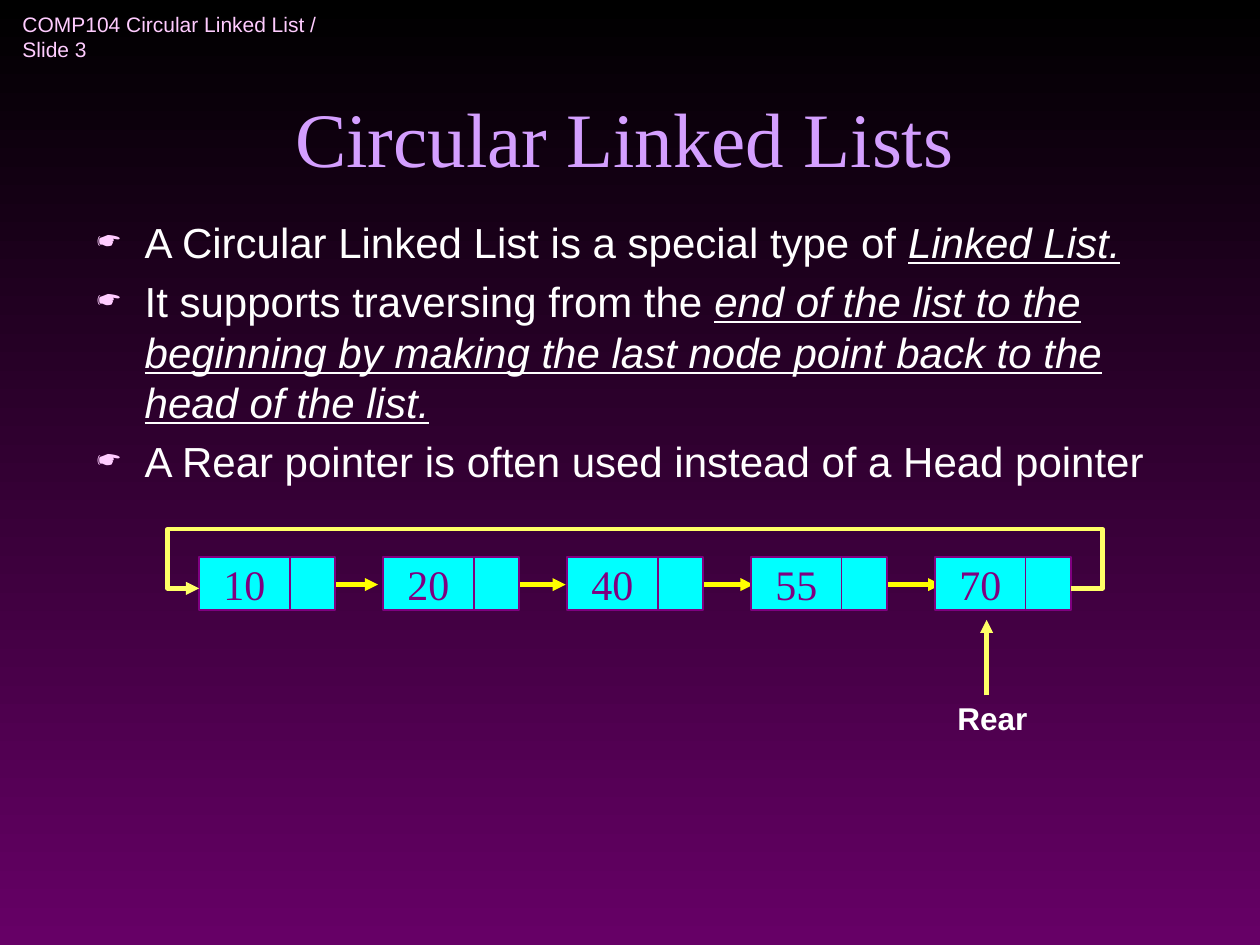
from dataclasses import dataclass

from lxml.etree import SubElement
from pptx import Presentation
from pptx.dml.color import RGBColor
from pptx.enum.shapes import MSO_CONNECTOR, MSO_SHAPE
from pptx.enum.text import MSO_ANCHOR, PP_ALIGN
from pptx.oxml.ns import qn
from pptx.util import Inches, Pt


@dataclass(frozen=True)
class Theme:
    background_top: str = "000000"
    background_bottom: str = "660066"
    title: str = "D49FFF"
    accent: str = "FFCCFF"
    text: str = "FFFFFF"
    node_fill: str = "00FFFF"
    node_ink: str = "800080"
    link: str = "FFFF00"
    pointer: str = "FFFF66"
    sans: str = "Arial"
    serif: str = "Times New Roman"
    header_size: int = 12
    label_size: int = 18
    body_size: int = 24
    title_size: int = 44
    arrow_width: float = 2.5


def rgb(color):
    return RGBColor.from_string(color)


class SlideBuilder:
    def __init__(self, slide, theme):
        self.slide = slide
        self.theme = theme

    def background(self):
        fill = self.slide.background.fill
        fill.gradient()
        fill.gradient_angle = 270
        colors = (self.theme.background_top, self.theme.background_bottom)
        for stop, color, position in zip(fill.gradient_stops, colors, (0, 1)):
            stop.color.rgb = rgb(color)
            stop.position = position

    def set_font(self, paragraph, name, size, color, bold=False):
        font = paragraph.font
        font.name, font.size, font.bold = name, Pt(size), bold
        font.color.rgb = rgb(color)

    def text_box(self, box, anchor=MSO_ANCHOR.TOP, wrap=True):
        shape = self.slide.shapes.add_textbox(*map(Inches, box))
        frame = shape.text_frame
        frame.word_wrap = wrap
        frame.vertical_anchor = anchor
        return frame

    def label(self, text, box, name, size, color, anchor=MSO_ANCHOR.TOP,
              wrap=False, align=PP_ALIGN.LEFT, bold=False, before=0):
        paragraph = self.text_box(box, anchor, wrap).paragraphs[0]
        paragraph.text = text
        paragraph.alignment = align
        paragraph.space_before = Pt(before)
        self.set_font(paragraph, name, size, color, bold)

    def bullets(self, items, box):
        frame = self.text_box(box)
        for index, (plain, stressed) in enumerate(items):
            paragraph = frame.add_paragraph() if index else frame.paragraphs[0]
            paragraph.space_before = Pt(5)
            self.set_font(paragraph, self.theme.sans, self.theme.body_size, self.theme.text)
            paragraph.add_run().text = plain
            if stressed:
                run = paragraph.add_run()
                run.text = stressed
                run.font.italic = run.font.underline = True
            self.bullet_mark(paragraph)

    def bullet_mark(self, paragraph):
        properties = paragraph._p.get_or_add_pPr()
        properties.set("marL", str(Inches(0.38)))
        properties.set("indent", str(-Inches(0.38)))
        marks = []
        color = SubElement(properties, qn("a:buClr"))
        SubElement(color, qn("a:srgbClr"), val=self.theme.accent)
        marks.append(color)
        marks.append(SubElement(properties, qn("a:buSzPct"), val="75000"))
        marks.append(SubElement(properties, qn("a:buChar"), char="☛"))
        # Bullet settings come before the default run properties
        defaults = properties.find(qn("a:defRPr"))
        for mark in marks:
            defaults.addprevious(mark)

    def cell(self, left, top, width, height, text=""):
        shape = self.slide.shapes.add_shape(
            MSO_SHAPE.RECTANGLE, *map(Inches, (left, top, width, height)))
        shape.shadow.inherit = False
        shape.fill.solid()
        shape.fill.fore_color.rgb = rgb(self.theme.node_fill)
        shape.line.color.rgb = rgb(self.theme.node_ink)
        shape.line.width = Pt(1)
        if text:
            frame = shape.text_frame
            frame.word_wrap = False
            frame.vertical_anchor = MSO_ANCHOR.MIDDLE
            paragraph = frame.paragraphs[0]
            paragraph.text = text
            paragraph.alignment = PP_ALIGN.CENTER
            self.set_font(paragraph, self.theme.serif, self.theme.body_size, self.theme.node_ink)

    def arrow_style(self, shape, color):
        shape.line.color.rgb = rgb(color)
        shape.line.width = Pt(self.theme.arrow_width)
        SubElement(shape.line._get_or_add_ln(), qn("a:tailEnd"), type="triangle")

    def arrow(self, start, end, color):
        connector = self.slide.shapes.add_connector(
            MSO_CONNECTOR.STRAIGHT, *map(Inches, (*start, *end)))
        self.arrow_style(connector, color)
        SubElement(connector._element.spPr, qn("a:effectLst"))

    def bent_arrow(self, points, color):
        start, *rest = [(Inches(x), Inches(y)) for x, y in points]
        builder = self.slide.shapes.build_freeform(*start)
        builder.add_line_segments(rest, close=False)
        shape = builder.convert_to_shape()
        shape.shadow.inherit = False
        shape.fill.background()
        self.arrow_style(shape, color)


theme = Theme()
presentation = Presentation()
presentation.slide_width, presentation.slide_height = Inches(10), Inches(7.5)
builder = SlideBuilder(presentation.slides.add_slide(presentation.slide_layouts[6]), theme)
builder.background()

# Header, title and body
builder.label("COMP104 Circular Linked List / Slide 3", (0.08, 0.08, 2.75, 0.42),
              theme.sans, theme.header_size, theme.accent, MSO_ANCHOR.MIDDLE)
builder.label("Circular Linked Lists", (0.67, 0.25, 8.58, 1.25), theme.serif,
              theme.title_size, theme.title, MSO_ANCHOR.BOTTOM, True, PP_ALIGN.CENTER)
builder.bullets([
    ("A Circular Linked List is a special type of ", "Linked List."),
    ("It supports traversing from the ",
     "end of the list to the beginning by making the last node point back "
     "to the head of the list."),
    ("A Rear pointer is often used instead of a Head pointer", ""),
], (0.67, 1.67, 8.58, 4.5))

# Links between nodes, drawn beneath them
values = ("10", "20", "40", "55", "70")
node_left, node_top, node_pitch = 1.58, 4.42, 1.46
value_width, link_width, node_height = 0.72, 0.36, 0.42
for index in range(len(values) - 1):
    link_left = 2.56 + index * 1.49
    builder.arrow((link_left, 4.64), (link_left + 0.44, 4.64), theme.link)

# Nodes
for index, value in enumerate(values):
    left = node_left + index * node_pitch
    builder.cell(left, node_top, value_width, node_height, value)
    builder.cell(left + value_width, node_top, link_width, node_height)

# Return link from the last node to the first
node_right = node_left + (len(values) - 1) * node_pitch + value_width + link_width
loop_y, loop_top, loop_gap = 4.67, 4.2, 0.25
builder.bent_arrow([
    (node_right, loop_y), (node_right + loop_gap, loop_y),
    (node_right + loop_gap, loop_top), (node_left - loop_gap, loop_top),
    (node_left - loop_gap, loop_y), (node_left, loop_y),
], theme.pointer)

# Rear pointer
builder.label("Rear", (7.5, 5.5, 0.76, 0.4), theme.sans, theme.label_size,
              theme.text, bold=True, before=3.6)
builder.arrow((7.83, 5.52), (7.83, 4.92), theme.pointer)

presentation.save("out.pptx")
